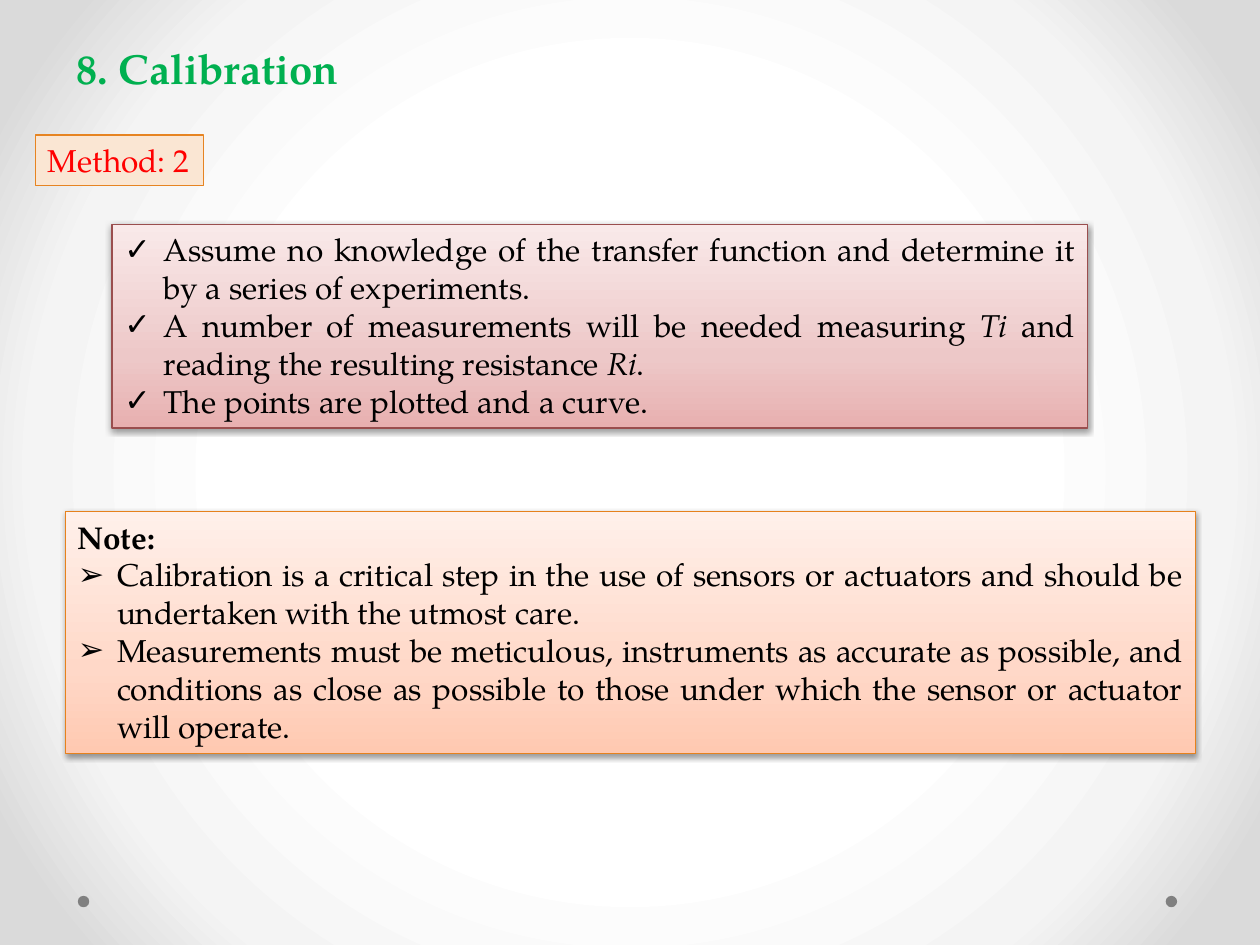
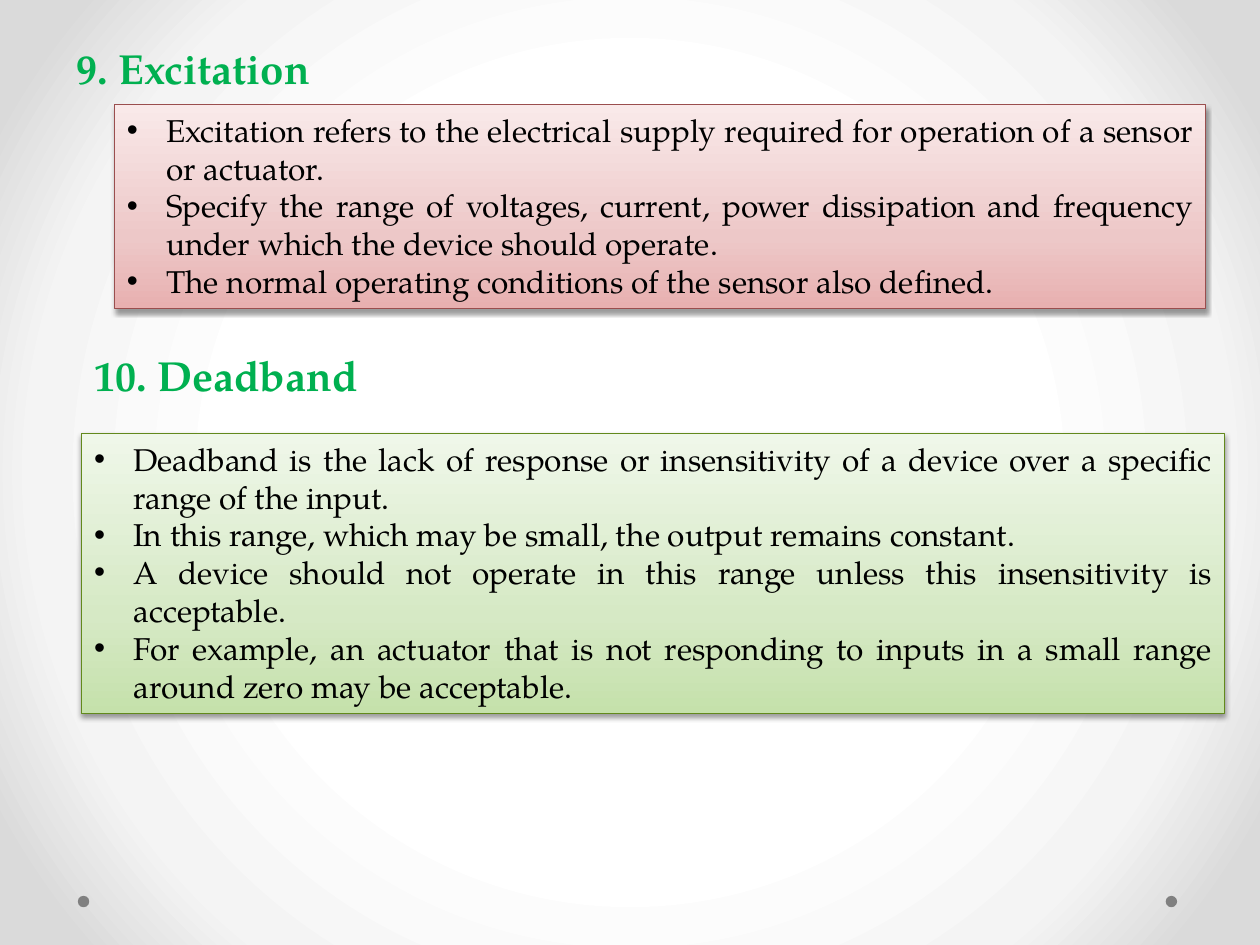
"""Build two slides on sensor calibration, excitation and deadband."""
import lxml.etree
import pptx
import pptx.dml.color
import pptx.enum.shapes
import pptx.enum.text
import pptx.oxml.ns
import pptx.util

Cm = pptx.util.Cm
Pt = pptx.util.Pt
RGB = pptx.dml.color.RGBColor
qn = pptx.oxml.ns.qn

FONT = "TeX Gyre Pagella"
BLACK = RGB(0x00, 0x00, 0x00)
HEADING_GREEN = RGB(0x00, 0xB0, 0x50)
DOT_GREY = RGB(0x80, 0x80, 0x80)
LABEL_RED = RGB(0xFF, 0x00, 0x00)
LABEL_FILL = RGB(0xFA, 0xE6, 0xD3)
LABEL_LINE = RGB(0xE6, 0x84, 0x22)

BACKDROP = [(50, RGB(0xFF, 0xFF, 0xFF)), (76, RGB(0xF4, 0xF4, 0xF4)), (92, RGB(0xDA, 0xDA, 0xDA))]
ROSE = (RGB(0x9A, 0x4E, 0x4E),
        [(0, RGB(0xE8, 0xB0, 0xB0)), (35, RGB(0xED, 0xC8, 0xC8)), (100, RGB(0xF9, 0xE9, 0xE9))])
PEACH = (RGB(0xE6, 0x81, 0x1C),
         [(0, RGB(0xFF, 0xC9, 0xB1)), (35, RGB(0xFF, 0xD8, 0xC8)), (100, RGB(0xFF, 0xF0, 0xEA))])
GREEN = (RGB(0x62, 0x89, 0x1C),
         [(0, RGB(0xC5, 0xE1, 0xAB)), (35, RGB(0xD6, 0xE9, 0xC5)), (100, RGB(0xEF, 0xF7, 0xE9))])

DOT_LEFTS = (1.57, 23.5)
DOT_TOP, DOT_SIZE = 18.06, 0.23
HEADING_SIZE = (8.79, 1.27)
HANGING = Cm(0.79)

SLIDES = [
    {
        "headings": [("8. Calibration", (1.3, 0.74))],
        "labels": [("Method: 2", (0.71, 2.72, 3.4, 1.02))],
        "panels": [
            {"place": (2.26, 4.52, 19.66, 4.11), "theme": ROSE, "bullet": "✓", "points": [
                ["Assume no knowledge of the transfer function and determine it by a series of experiments."],
                ["A number of measurements will be needed measuring ", ("Ti ", "italic"),
                 "and reading the resulting resistance ", ("Ri", "italic"), "."],
                ["The points are plotted and a curve."],
            ]},
            {"place": (1.32, 10.31, 22.78, 4.88), "theme": PEACH, "bullet": "➢", "lead": "Note:", "points": [
                ["Calibration is a critical step in the use of sensors or actuators and should be "
                 "undertaken with the utmost care. "],
                ["Measurements must be meticulous, instruments as accurate as possible, and conditions "
                 "as close as possible to those under which the sensor or actuator will operate."],
            ]},
        ],
    },
    {
        "headings": [("9. Excitation", (1.3, 0.74)), ("10. Deadband", (1.65, 6.93))],
        "labels": [],
        "panels": [
            {"place": (2.31, 2.11, 22, 4.11), "theme": ROSE, "bullet": "•", "points": [
                ["Excitation refers to the electrical supply required for operation of a sensor or actuator."],
                ["Specify the range of voltages, current, power dissipation and frequency under which "
                 "the device should operate."],
                ["The normal operating conditions of the sensor also defined. "],
            ]},
            {"place": (1.65, 8.74, 23.04, 5.64), "theme": GREEN, "bullet": "•", "points": [
                ["Deadband is the lack of response or insensitivity of a device over a specific range "
                 "of the input. "],
                ["In this range, which may be small, the output remains constant. "],
                ["A device should not operate in this range unless this insensitivity is acceptable. "],
                ["For example, an actuator that is not responding to inputs in a small range around "
                 "zero may be acceptable."],
            ]},
        ],
    },
]


def add_xml(parent, tag, **attributes):
    return lxml.etree.SubElement(parent, qn(tag), attributes)


def paint_gradient(fill, owner, stops, radial=False):
    fill.gradient()
    gradient = next(owner.iter(qn("a:gradFill")))
    for child in list(gradient):
        gradient.remove(child)
    stop_list = add_xml(gradient, "a:gsLst")
    for position, color in stops:
        stop = add_xml(stop_list, "a:gs", pos=str(position * 1000))
        add_xml(stop, "a:srgbClr", val=str(color))
    if radial:
        circle = add_xml(gradient, "a:path", **{"path": "circle"})
        add_xml(circle, "a:fillToRect", l="50000", t="50000", r="50000", b="50000")
    else:
        add_xml(gradient, "a:lin", ang="16200000", scaled="1")


def add_shape(slide, preset, place):
    shape = slide.shapes.add_shape(preset, *map(Cm, place))
    shape.shadow.inherit = False
    return shape


def add_box(slide, place, line_color):
    box = add_shape(slide, pptx.enum.shapes.MSO_SHAPE.RECTANGLE, place)
    box.line.color.rgb = line_color
    box.line.width = Pt(0.75)
    return box


def prepare_frame(shape, wrap=True):
    frame = shape.text_frame
    frame.word_wrap = wrap
    frame.auto_size = pptx.enum.text.MSO_AUTO_SIZE.SHAPE_TO_FIT_TEXT
    frame.vertical_anchor = pptx.enum.text.MSO_ANCHOR.TOP
    frame.paragraphs[0].alignment = pptx.enum.text.PP_ALIGN.LEFT
    return frame


def add_run(paragraph, words, size=18, color=BLACK, bold=False, italic=False):
    run = paragraph.add_run()
    run.text = words
    run.font.name = FONT
    run.font.size = Pt(size)
    run.font.color.rgb = color
    run.font.bold = bold
    run.font.italic = italic


def add_bullet(paragraph, symbol):
    properties = paragraph._p.get_or_add_pPr()
    properties.set("marL", str(HANGING))
    properties.set("indent", str(-HANGING))
    add_xml(properties, "a:buFont", typeface="Arial")
    add_xml(properties, "a:buChar", char=symbol)


def add_dots(slide):
    for left in DOT_LEFTS:
        dot = add_shape(slide, pptx.enum.shapes.MSO_SHAPE.OVAL, (left, DOT_TOP, DOT_SIZE, DOT_SIZE))
        dot.fill.solid()
        dot.fill.fore_color.rgb = DOT_GREY
        dot.line.fill.background()


def add_heading(slide, words, corner):
    heading = slide.shapes.add_textbox(*map(Cm, corner + HEADING_SIZE))
    add_run(prepare_frame(heading).paragraphs[0], words, 24, HEADING_GREEN, bold=True)


def add_label(slide, words, place):
    label = add_box(slide, place, LABEL_LINE)
    label.fill.solid()
    label.fill.fore_color.rgb = LABEL_FILL
    add_run(prepare_frame(label, wrap=False).paragraphs[0], words, color=LABEL_RED)


def add_panel(slide, place, theme, bullet, points, lead=None):
    line_color, stops = theme
    panel = add_box(slide, place, line_color)
    paint_gradient(panel.fill, panel.element.spPr, stops)
    effects = panel.element.spPr.find(qn("a:effectLst"))
    shadow = add_xml(effects, "a:outerShdw", blurRad="40000", dist="20000", dir="5400000", rotWithShape="0")
    add_xml(add_xml(shadow, "a:srgbClr", val=str(BLACK)), "a:alpha", val="38000")
    frame = prepare_frame(panel)
    rows = ([[(lead, "bold")]] if lead else []) + points
    for index, row in enumerate(rows):
        paragraph = frame.add_paragraph() if index else frame.paragraphs[0]
        paragraph.alignment = pptx.enum.text.PP_ALIGN.JUSTIFY
        if index or not lead:
            add_bullet(paragraph, bullet)
        for part in row:
            words, style = (part, None) if isinstance(part, str) else part
            add_run(paragraph, words, bold=style == "bold", italic=style == "italic")


def main():
    deck = pptx.Presentation()
    deck.slide_width, deck.slide_height = Cm(25.4), Cm(19.05)
    master = deck.slide_master
    paint_gradient(master.background.fill, master.element, BACKDROP, radial=True)
    for content in SLIDES:
        slide = deck.slides.add_slide(deck.slide_layouts[6])
        add_dots(slide)
        for label in content["labels"]:
            add_label(slide, *label)
        for heading in content["headings"]:
            add_heading(slide, *heading)
        for panel in content["panels"]:
            add_panel(slide, **panel)
    deck.save("out.pptx")


if __name__ == "__main__":
    main()
